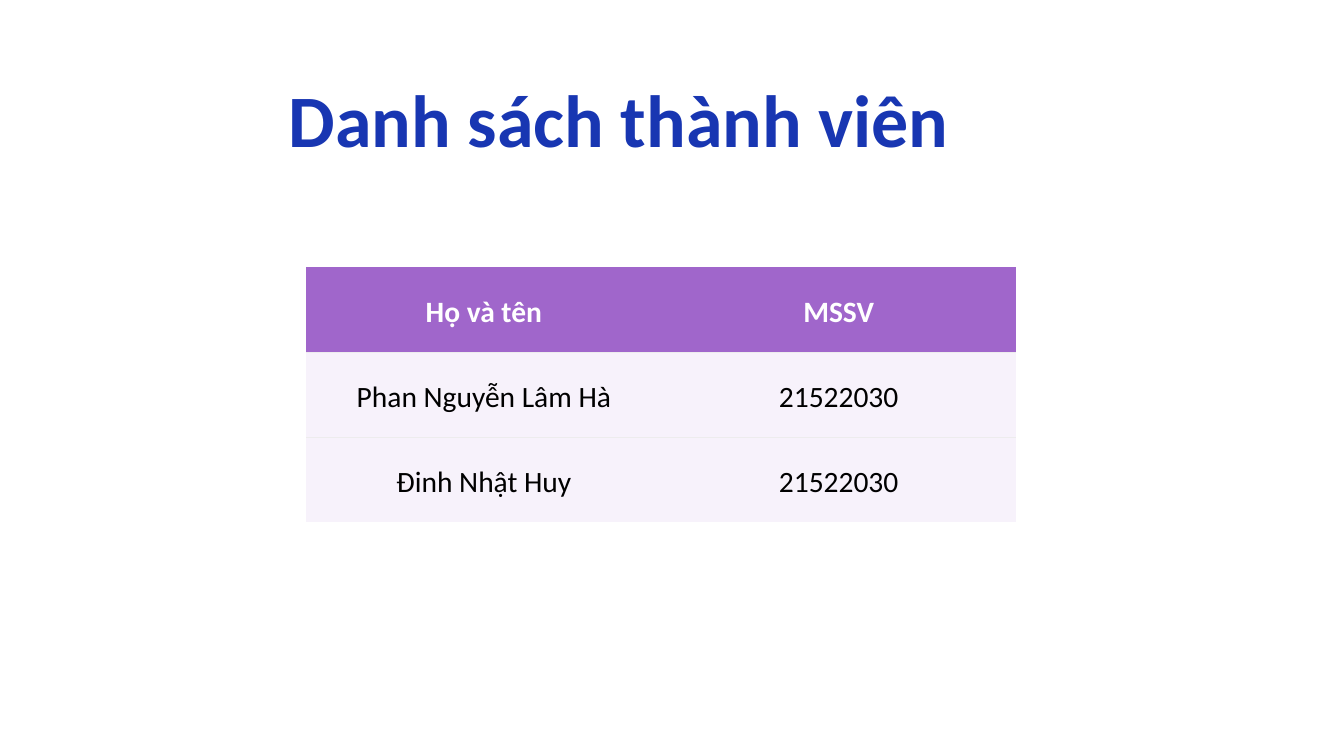
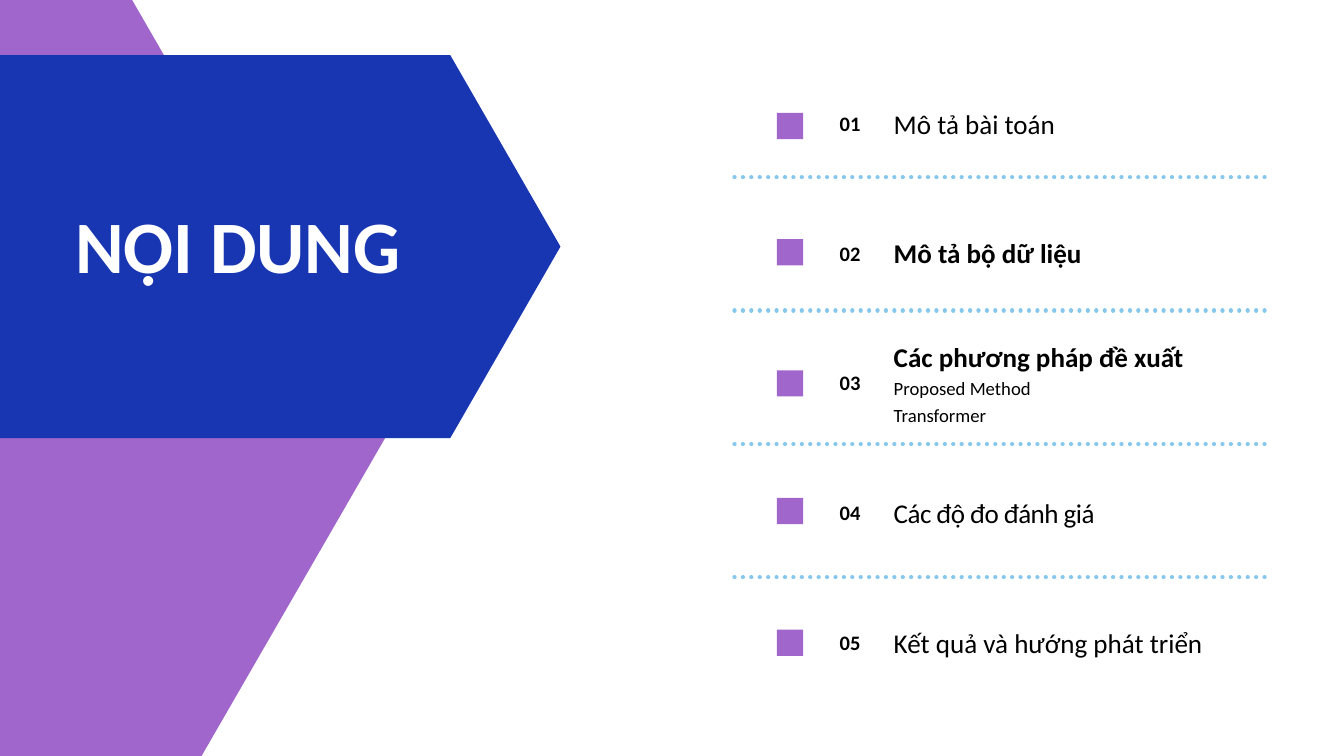
from lxml import etree
from pptx import Presentation
from pptx import util as u
from pptx.dml.color import RGBColor
from pptx.enum import dml, shapes, text
from pptx.oxml.ns import qn

PX = 9144
FONT = "Calibri"
COLORS = {
    "blue": "1836B2", "purple": "A066CB", "lilac": "F7F2FB", "rule": "EDECED",
    "sky": "86C7ED", "white": "FFFFFF", "black": "000000",
}
HEADER = {"size": 31.6, "bold": True, "color": "white", "line": 44.2}
MEMBER = {"size": 31.6, "bold": False, "color": "black", "line": 44.2}
NUMBER = {"size": 22, "bold": True, "color": "black", "line": 30.8}
TOPIC = {"size": 29, "bold": False, "color": "black", "line": 40.6}
STRONG = {**TOPIC, "bold": True}
TIGHT = {**TOPIC, "spacing": -60}
DETAIL = {"size": 20, "bold": False, "color": "black", "line": 28}


def rgb(name):
    """Return the named colour."""
    return RGBColor.from_string(COLORS[name])


class Deck:
    """Holds the presentation style and the current slide."""

    def __init__(self, width, height):
        """Start a presentation of the given size in px."""
        self.prs = Presentation()
        self.prs.slide_width, self.prs.slide_height = width * PX, height * PX
        self.s = None

    def slide(self):
        """Add a blank white slide."""
        self.s = self.prs.slides.add_slide(self.prs.slide_layouts[6])
        fill = self.s.background.fill
        fill.solid()
        fill.fore_color.rgb = rgb("white")

    def add_lines(self, tf, lines, align="LEFT"):
        """Fill a text frame with (words, format) lines."""
        for i, (words, fmt) in enumerate(lines):
            p = tf.add_paragraph() if i else tf.paragraphs[0]
            p.alignment = text.PP_ALIGN[align]
            p.line_spacing = u.Pt(fmt["line"])
            r = p.add_run()
            r.text = words
            font = {"name": FONT, "size": u.Pt(fmt["size"]), "bold": fmt["bold"]}
            for key, value in font.items():
                setattr(r.font, key, value)
            r.font.color.rgb = rgb(fmt["color"])
            if "spacing" in fmt:
                r._r.get_or_add_rPr().set("spc", str(fmt["spacing"]))

    def title(self, words, x, y, w, color):
        """Add a large bold title."""
        tf = self.s.shapes.add_textbox(x * PX, y * PX, w * PX, 125 * PX).text_frame
        frame = {"word_wrap": True, "auto_size": text.MSO_AUTO_SIZE.SHAPE_TO_FIT_TEXT,
                 "margin_left": 0, "margin_top": 0, "margin_right": 0, "margin_bottom": 0}
        for key, value in frame.items():
            setattr(tf, key, value)
        self.add_lines(tf, [(words, {"size": 79.2, "bold": True, "color": color, "line": 87.2})])

    def paint(self, sp, color):
        """Give a shape a flat fill without outline or shadow."""
        sp.shadow.inherit = False
        sp.fill.solid()
        sp.fill.fore_color.rgb = rgb(color)
        sp.line.fill.background()

    def square(self, x, y, size, color):
        """Add a square marker."""
        box = (x * PX, y * PX, size * PX, size * PX)
        self.paint(self.s.shapes.add_shape(shapes.MSO_SHAPE.RECTANGLE, *box), color)

    def hexagon(self, x, y, w, h, tip, color):
        """Add a hexagon pointing left and right."""
        right, bottom, middle = x + w, y + h, y + h / 2
        fb = self.s.shapes.build_freeform(right - tip, y, scale=PX)
        fb.add_line_segments([(x + tip, y), (x, middle), (x + tip, bottom),
                              (right - tip, bottom), (right, middle)], close=True)
        self.paint(fb.convert_to_shape(), color)

    def dotted(self, x1, x2, y):
        """Add a horizontal line of round dots."""
        c = self.s.shapes.add_connector(
            shapes.MSO_CONNECTOR.STRAIGHT, x1 * PX, y * PX, x2 * PX, y * PX)
        c.line.color.rgb = rgb("sky")
        c.line.width = u.Pt(4.5)
        c.line.dash_style = dml.MSO_LINE.ROUND_DOT
        spPr = c._element.spPr
        spPr.find(qn("a:ln")).set("cap", "rnd")
        etree.SubElement(spPr, qn("a:effectLst"))

    def borders(self, cell, ruled):
        """Draw thin rules on the named sides and clear the others."""
        tcPr = cell._tc.get_or_add_tcPr()
        for side in "LRTB":
            ln = etree.SubElement(tcPr, qn("a:ln" + side))
            if side in ruled:
                ln.set("w", str(u.Pt(0.91)))
                fill = etree.SubElement(ln, qn("a:solidFill"))
                etree.SubElement(fill, qn("a:srgbClr")).set("val", COLORS["rule"])
            else:
                ln.set("w", "0")
                etree.SubElement(ln, qn("a:noFill"))

    def table(self, x, y, widths, heights, rows, aligns, margin, fills=None):
        """Add a table whose cells are lists of (words, format) lines."""
        t = self.s.shapes.add_table(
            len(rows), len(widths), x * PX, y * PX, sum(widths) * PX, sum(heights) * PX).table
        t.first_row = t.horz_banding = False
        for col, width in zip(t.columns, widths):
            col.width = width * PX
        for i, (row, height) in enumerate(zip(rows, heights)):
            t.rows[i].height = height * PX
            for j, lines in enumerate(row):
                cell = t.cell(i, j)
                for side in ("left", "top", "right", "bottom"):
                    setattr(cell, "margin_" + side, margin * PX)
                cell.vertical_anchor = text.MSO_ANCHOR.MIDDLE
                ruled = ""
                if fills and i:
                    ruled = "T" if i == len(rows) - 1 else "TB"
                self.borders(cell, ruled)
                if fills:
                    cell.fill.solid()
                    cell.fill.fore_color.rgb = rgb(fills[i])
                else:
                    cell.fill.background()
                self.add_lines(cell.text_frame, lines, aligns[j])


def members(deck):
    """Build the member list slide."""
    deck.slide()
    people = [("Họ và tên", "MSSV"), ("Phan Nguyễn Lâm Hà", "21522030"),
              ("Đinh Nhật Huy", "21522030")]
    rows = [[[(words, MEMBER if i else HEADER)] for words in person]
            for i, person in enumerate(people)]
    deck.table(456, 398, [528, 528], [126, 127, 126], rows, ["CENTER", "CENTER"], 25,
               ["purple", "lilac", "lilac"])
    deck.title("Danh sách thành viên", 430, 120, 1060, "blue")


def contents(deck):
    """Build the table of contents slide."""
    deck.slide()
    deck.hexagon(-573, -105, 1146, 1514, 437, "purple")
    deck.hexagon(-341, 82, 1175, 570, 164, "blue")
    deck.title("NỘI DUNG", 112, 308, 547, "white")
    for i in range(4):
        deck.dotted(1093, 1887, round(264 + i * 595 / 3))
    for y in (168, 356, 551, 741, 937):
        deck.square(1156, y, 39, "purple")
    topics = [
        [("Mô tả bài toán", TOPIC)],
        [("Mô tả bộ dữ liệu", STRONG)],
        [("Các phương pháp đề xuất", STRONG), ("Proposed Method", DETAIL),
         ("Transformer", DETAIL)],
        [("Các độ đo đánh giá", TIGHT)],
        [("Kết quả và hướng phát triển", TOPIC)],
    ]
    rows = [[[(f"{n:02}", NUMBER)], topic] for n, topic in enumerate(topics, 1)]
    deck.table(1221, 86, [88, 640], [193] * 5, rows, ["CENTER", "LEFT"], 21)


def main():
    """Build and save the slides."""
    deck = Deck(2000, 1125)
    members(deck)
    contents(deck)
    deck.prs.save("out.pptx")


if __name__ == "__main__":
    main()
